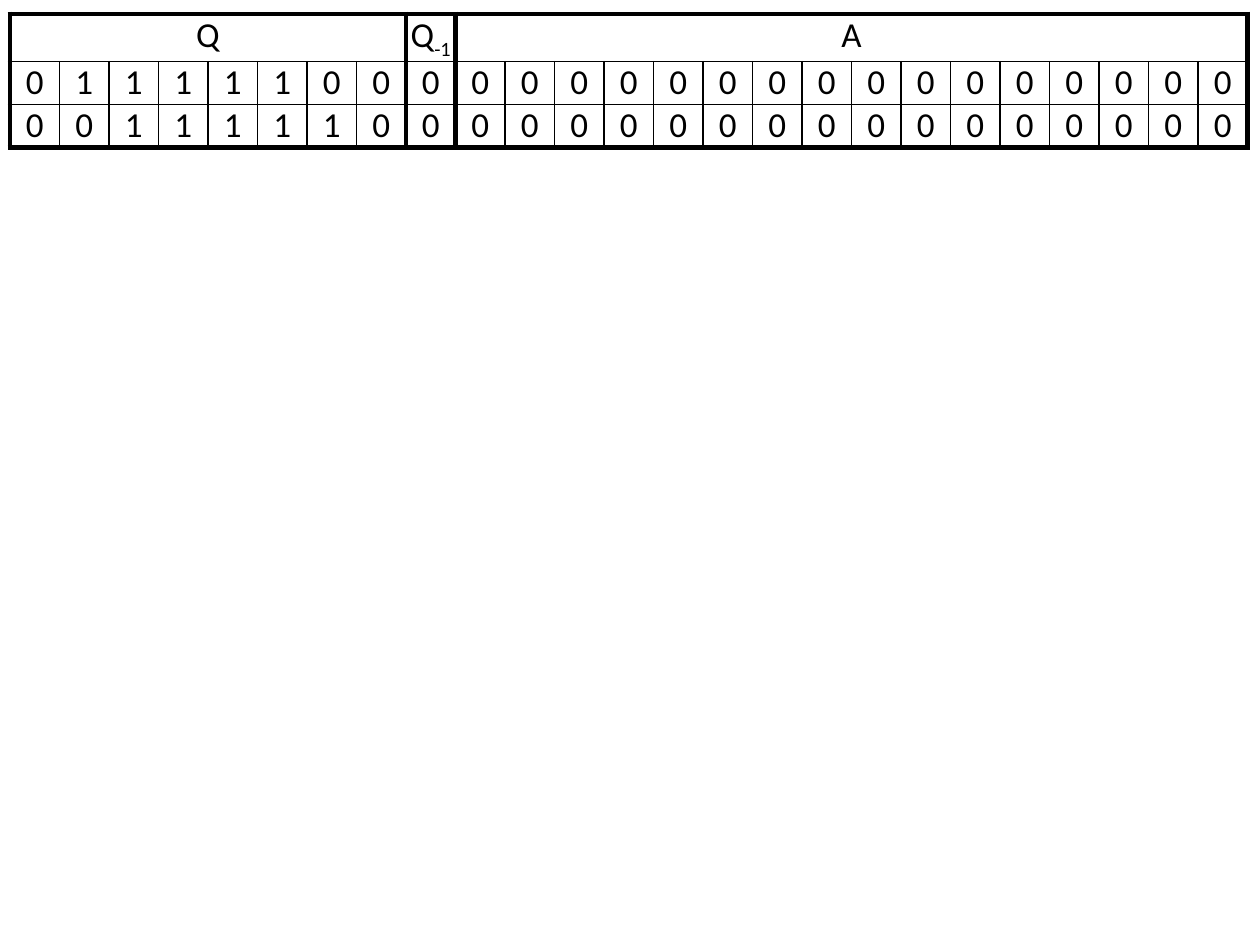
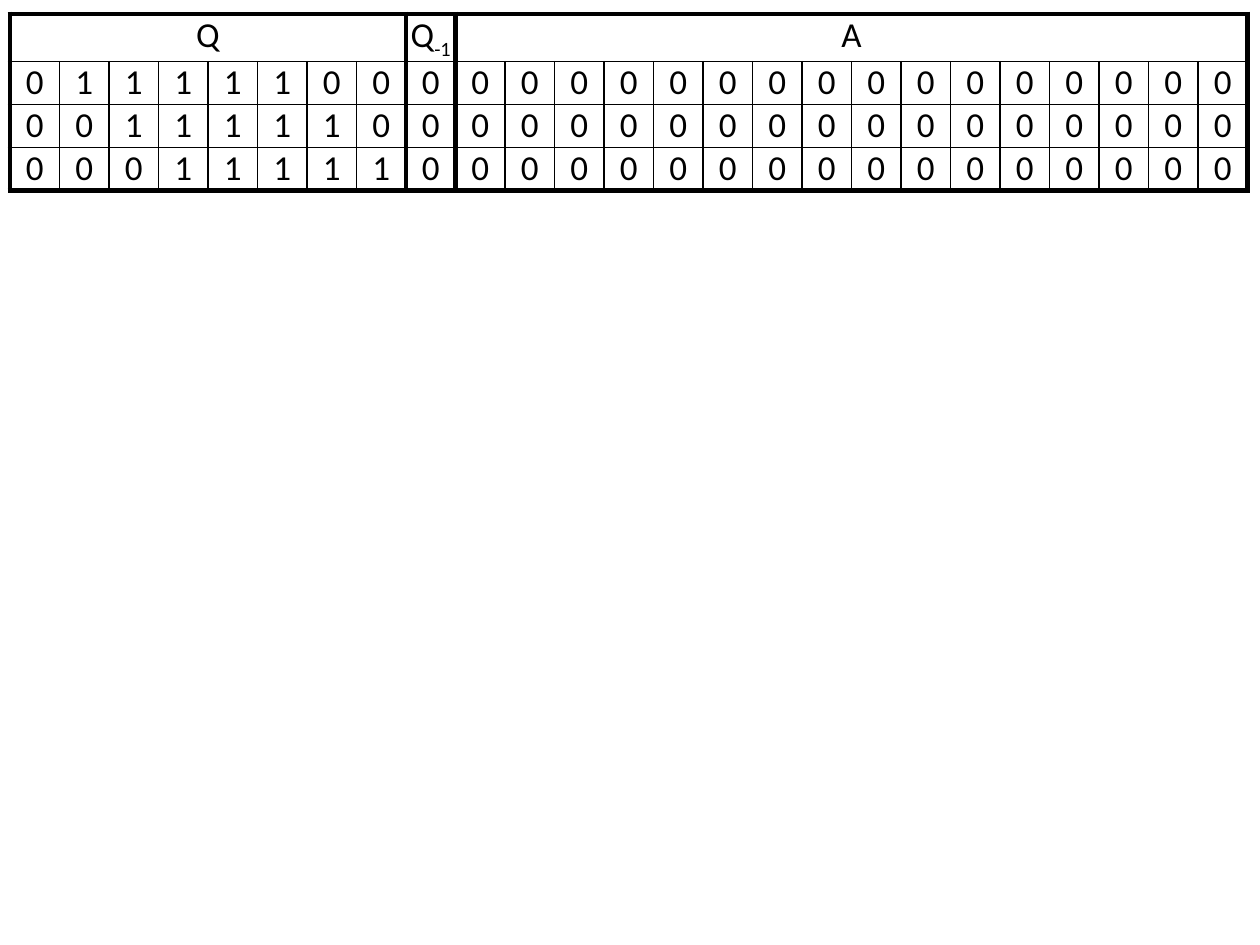
from lxml.etree import SubElement
from pptx import Presentation
from pptx.dml.color import RGBColor
from pptx.enum.text import PP_ALIGN
from pptx.oxml.ns import qn
from pptx.util import Cm, Pt

BLACK = RGBColor(0, 0, 0)
FONT = "Calibri"
THIN, THICK = Pt(1), Pt(3)
BLANK_LAYOUT = 6

TABLE_LEFT, TABLE_TOP = Cm(0.2), Cm(0.28)
TABLE_WIDTH, ROW_HEIGHT = Cm(24.97), Cm(0.81)

REGISTERS = [("Q", "", 8), ("Q", "-1", 1), ("A", "", 16)]
STEPS = [
    ("01111100", "0", "0" * 16),
    ("00111110", "0", "0" * 16),
    ("00011111", "0", "0" * 16),
]


def add_text(paragraph, text, size=20, color=BLACK, baseline=None):
    """Append a run of text in the given format to a paragraph."""
    run = paragraph.add_run()
    run.text = text
    run.font.name = FONT
    run.font.size = Pt(size)
    run.font.color.rgb = color
    if baseline is not None:
        run.font._element.set("baseline", str(baseline))


def add_border(cell, side, width):
    """Draw one side (L, R, T or B) of a cell as a solid line."""
    line = SubElement(cell._tc.get_or_add_tcPr(), qn(f"a:ln{side}"), w=str(width))
    fill = SubElement(line, qn("a:solidFill"))
    SubElement(fill, qn("a:srgbClr"), val=str(BLACK))


def fill_cell(cell, text, subscript="", thick_sides=""):
    """Write centred text into a cell and give it its borders."""
    for side in "LRTB":
        add_border(cell, side, THICK if side in thick_sides else THIN)
    cell.fill.background()
    cell.margin_left = cell.margin_right = cell.margin_top = cell.margin_bottom = 0
    paragraph = cell.text_frame.paragraphs[0]
    paragraph.alignment = PP_ALIGN.CENTER
    add_text(paragraph, text)
    if subscript:
        add_text(paragraph, subscript, baseline=-25000)


def add_register_table(slide, steps):
    """Add a table with a header for each register and a row for each step."""
    column_count = sum(bits for _, _, bits in REGISTERS)
    row_count = len(steps) + 1
    frame = slide.shapes.add_table(
        row_count, column_count, TABLE_LEFT, TABLE_TOP,
        TABLE_WIDTH, ROW_HEIGHT * row_count)
    table = frame.table
    table.first_row = table.horz_banding = False

    first = 0
    for register, (name, subscript, bits) in enumerate(REGISTERS):
        last = first + bits - 1
        header = table.cell(0, first)
        if bits > 1:
            header.merge(table.cell(0, last))
        fill_cell(header, name, subscript, thick_sides="LRT")
        for row, step in enumerate(steps, start=1):
            for column, bit in enumerate(step[register], start=first):
                sides = "L" * (column == first) + "R" * (column == last)
                sides += "B" * (row == len(steps))
                fill_cell(table.cell(row, column), bit, thick_sides=sides)
        first = last + 1


def main():
    """Build one slide after each shift and save the presentation."""
    presentation = Presentation()
    presentation.slide_width, presentation.slide_height = Cm(25.4), Cm(19.05)
    for step_count in (2, 3):
        slide = presentation.slides.add_slide(presentation.slide_layouts[BLANK_LAYOUT])
        add_register_table(slide, STEPS[:step_count])
    presentation.save("out.pptx")


main()
